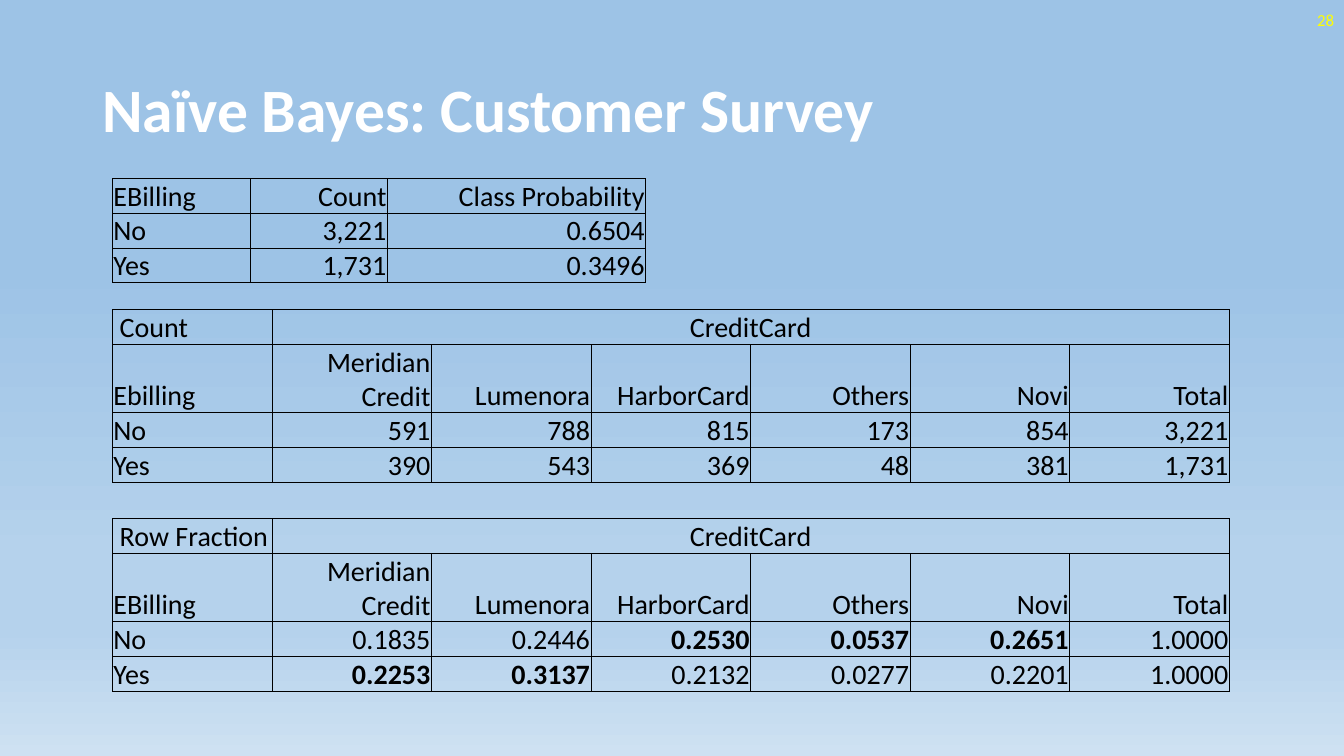
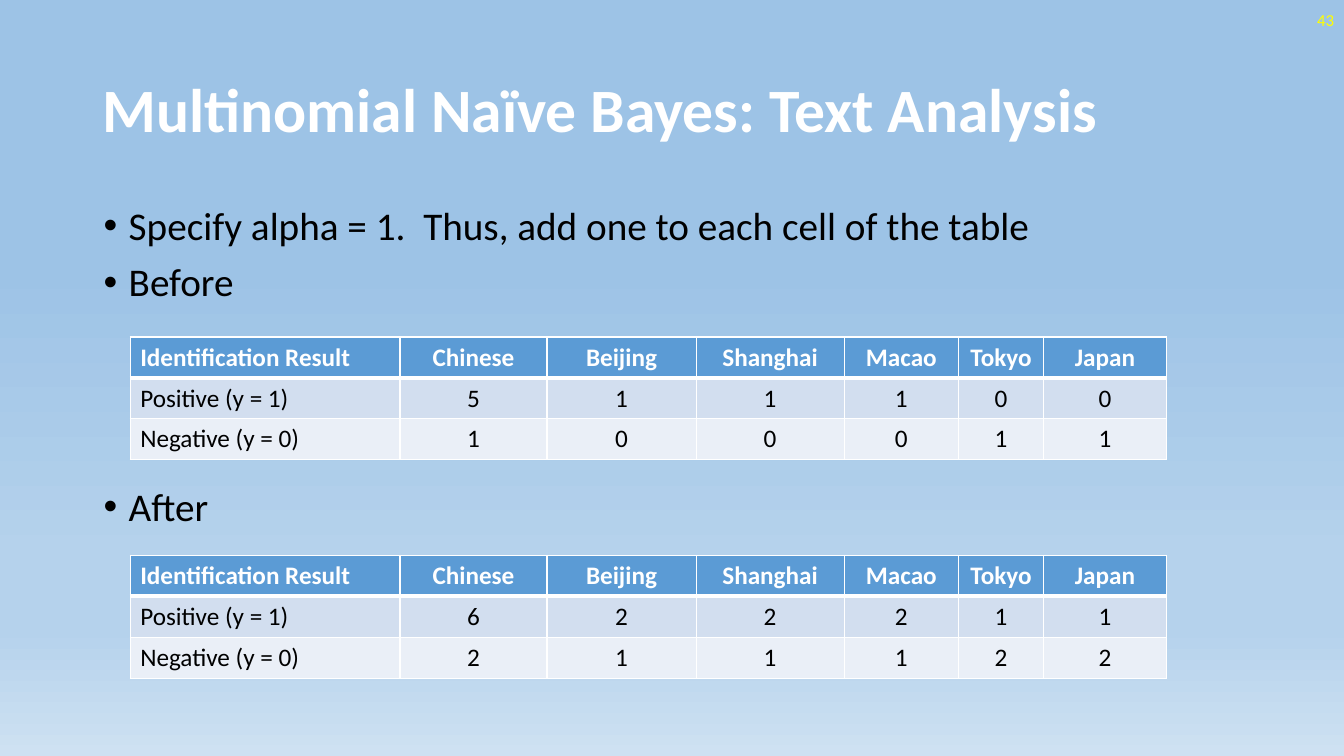
from lxml import etree
from pptx import Presentation
from pptx import util as u
from pptx.dml import color
from pptx.enum import text
from pptx.oxml import ns

SCALE = 9525
FACE = "Calibri"
WHITE, BLACK, YELLOW = "FFFFFF", "000000", "FFFF00"
SKY = [(35, "9DC3E6"), (74, "B5D2EC"), (83, "B5D2EC"), (100, "CEE1F2")]
LEFT, CENTER, RIGHT = text.PP_ALIGN.LEFT, text.PP_ALIGN.CENTER, text.PP_ALIGN.RIGHT
MIDDLE, BOTTOM = text.MSO_ANCHOR.MIDDLE, text.MSO_ANCHOR.BOTTOM


def write(para, words, size, hue, bold=False, align=LEFT):
    para.text = words
    para.alignment = align
    para.font.name = FACE
    para.font.size = u.Pt(size)
    para.font.bold = bold
    para.font.color.rgb = color.RGBColor.from_string(hue)


def add_grid(page, left, top, widths, heights, rows, look):
    frame = page.shapes.add_table(
        len(heights), len(widths), left * SCALE, top * SCALE,
        sum(widths) * SCALE, sum(heights) * SCALE)
    table = frame.table
    table.first_row = look["header"]
    table.horz_banding = False
    for column, width in zip(table.columns, widths):
        column.width = width * SCALE
    for r, (row, height) in enumerate(zip(rows, heights)):
        table.rows[r].height = height * SCALE
        spanned = len(row) < len(widths)
        if spanned:
            table.cell(r, 1).merge(table.cell(r, len(widths) - 1))
        for c in range(len(widths)):
            cell = table.cell(r, c)
            cell.vertical_anchor = look["anchor"]
            if look["insets"]:
                (cell.margin_left, cell.margin_top, cell.margin_right,
                 cell.margin_bottom) = [inset * SCALE for inset in look["insets"]]
            for side in "LRTB":
                heavy = look["header"] and (r, side) in [(0, "B"), (1, "T")]
                edge = etree.SubElement(cell._tc.get_or_add_tcPr(), ns.qn("a:ln" + side),
                                        w=str(u.Pt(3) if heavy else look["line"]))
                paint = etree.SubElement(edge, ns.qn("a:solidFill"))
                etree.SubElement(paint, ns.qn("a:srgbClr"), val=look["edge"])
            if look["fills"]:
                cell.fill.solid()
                cell.fill.fore_color.rgb = color.RGBColor.from_string(look["fills"][r])
            else:
                cell.fill.background()
            if c < len(row):
                heading = look["header"] and r == 0
                align = LEFT if c == 0 else CENTER if spanned else look["align"]
                write(cell.text_frame.paragraphs[0], row[c], look["size"],
                      WHITE if heading else BLACK, heading or row[c] in look["strong"], align)


deck = Presentation()
deck.slide_width, deck.slide_height = 1280 * SCALE, 720 * SCALE

master = deck.slide_master
master.background.fill.gradient()
master.background.fill.gradient_angle = 270
stops = master.element.cSld.find(".//" + ns.qn("a:gsLst"))
for stop in list(stops):
    stops.remove(stop)
for percent, hue in SKY:
    stop = etree.SubElement(stops, ns.qn("a:gs"), pos=str(percent * 1000))
    etree.SubElement(stop, ns.qn("a:srgbClr"), val=hue)

pages = []
for layout, title, number in [(5, "Naïve Bayes: Customer Survey", "28"),
                              (1, "Multinomial Naïve Bayes: Text Analysis", "43")]:
    page = deck.slides.add_slide(deck.slide_layouts[layout])
    pages.append(page)
    heading = page.shapes.title
    heading.left, heading.top, heading.width, heading.height = [
        n * SCALE for n in (88, 38, 1104, 139)]
    heading.text_frame.auto_size = text.MSO_AUTO_SIZE.NONE
    heading.text_frame.vertical_anchor = MIDDLE
    para = heading.text_frame.paragraphs[0]
    write(para, title, 44, WHITE, True)
    para.line_spacing = 0.9
    box = page.shapes.add_textbox(992 * SCALE, 0, 288 * SCALE, 38 * SCALE)
    box.text_frame.word_wrap = True
    box.text_frame.vertical_anchor = MIDDLE
    write(box.text_frame.paragraphs[0], number, 12, YELLOW, align=RIGHT)

survey, analysis = pages

plain = dict(header=False, anchor=BOTTOM, align=RIGHT, insets=(1, 1, 1, 0), size=20,
             edge=BLACK, line=u.Pt(0.5), fills=None,
             strong={"0.2530", "0.0537", "0.2651", "0.2253", "0.3137"})
add_grid(survey, 107, 170, [131, 131, 246], [33] * 3, [
    ["EBilling", "Count", "Class Probability"],
    ["No", "3,221", "0.6504"],
    ["Yes", "1,731", "0.3496"]], plain)

cards = ["Meridian Credit", "Lumenora", "HarborCard", "Others", "Novi", "Total"]
for top, corner, label, no, yes in [
        (295, " Count", "Ebilling",
         ["591", "788", "815", "173", "854", "3,221"],
         ["390", "543", "369", "48", "381", "1,731"]),
        (494, " Row Fraction", "EBilling",
         ["0.1835", "0.2446", "0.2530", "0.0537", "0.2651", "1.0000"],
         ["0.2253", "0.3137", "0.2132", "0.0277", "0.2201", "1.0000"])]:
    add_grid(survey, 107, top, [152] * 7, [33, 65, 33, 33], [
        [corner, "CreditCard"], [label] + cards, ["No"] + no, ["Yes"] + yes], plain)

body = analysis.placeholders[1]
body.left, body.top, body.width, body.height = [n * SCALE for n in (89, 192, 1104, 457)]
body.text_frame.auto_size = text.MSO_AUTO_SIZE.NONE
for i, (words, gap) in enumerate([
        ("Specify alpha = 1.  Thus, add one to each cell of the table", 10),
        ("Before", 10), ("After", 130)]):
    para = body.text_frame.add_paragraph() if i else body.text_frame.paragraphs[0]
    write(para, words, 28, BLACK)
    para.line_spacing = 0.9
    para.space_before = u.Pt(gap)
    props = para._p.get_or_add_pPr()
    props.set("marL", str(24 * SCALE))
    props.set("indent", str(-24 * SCALE))

banded = dict(header=True, anchor=MIDDLE, align=CENTER, insets=None, size=18,
              edge=WHITE, line=u.Pt(1), fills=["5B9BD5", "D2DEEF", "EAEFF7"], strong=set())
terms = ["Chinese", "Beijing", "Shanghai", "Macao", "Tokyo", "Japan"]
positive, negative = [5, 1, 1, 1, 0, 0], [1, 0, 0, 0, 1, 1]
for top, alpha in [(321, 0), (529, 1)]:
    add_grid(analysis, 124, top, [257, 140, 142, 141, 109, 81, 117], [39] * 3, [
        ["Identification Result"] + terms,
        ["Positive (y = 1)"] + [str(n + alpha) for n in positive],
        ["Negative (y = 0)"] + [str(n + alpha) for n in negative]], banded)

deck.save("out.pptx")
